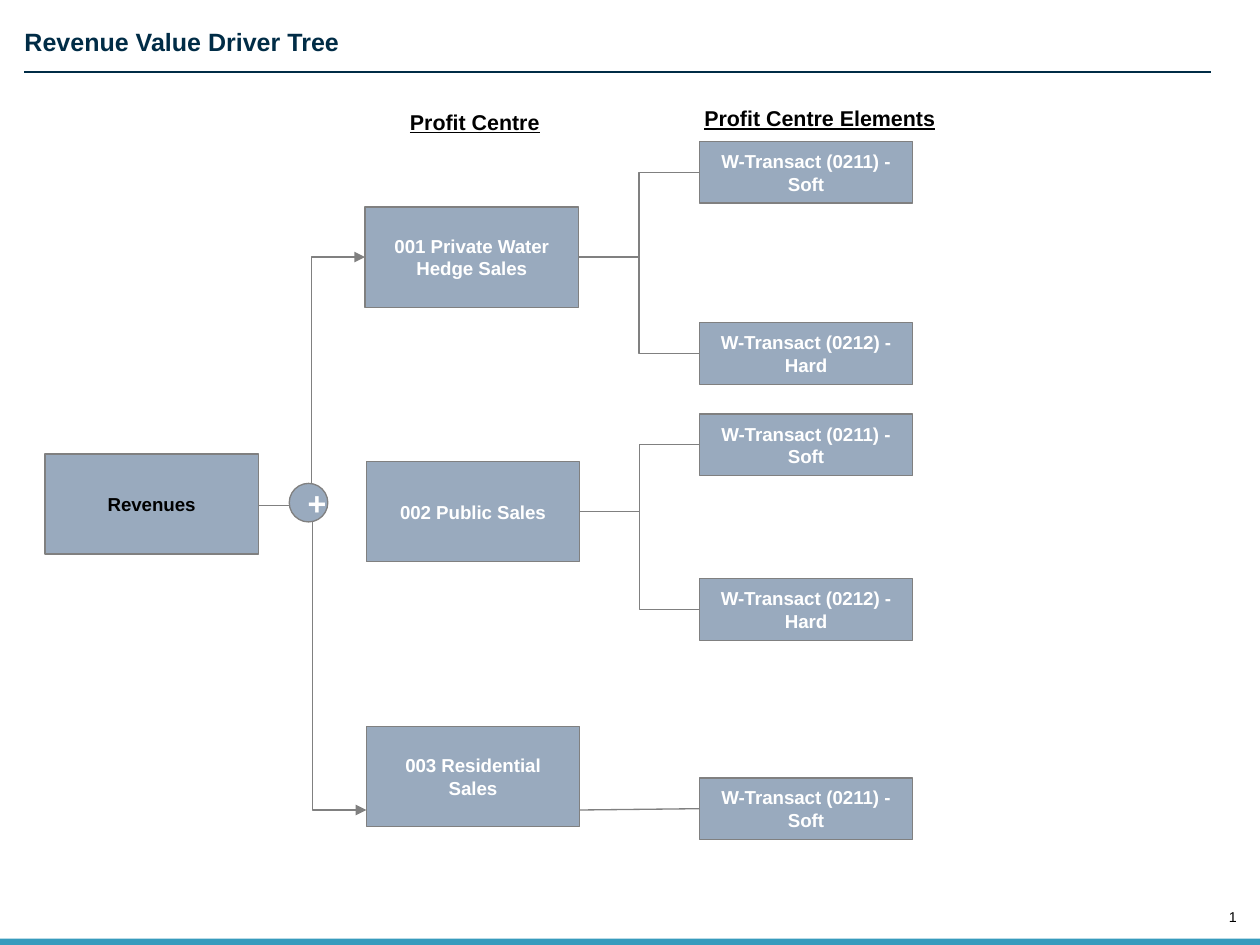
import pptx
import pptx.util
import pptx.dml.color
import pptx.enum.shapes
import pptx.enum.text
import pptx.oxml
import pptx.oxml.ns
from dataclasses import dataclass
from pptx.util import Inches

SHAPE = pptx.enum.shapes.MSO_SHAPE
LINK = pptx.enum.shapes.MSO_CONNECTOR
ALIGN = pptx.enum.text.PP_ALIGN
ANCHOR = pptx.enum.text.MSO_ANCHOR


@dataclass(frozen=True)
class Theme:
    font: str = "Arial"
    navy: str = "002C46"
    band: str = "379BBD"
    node: str = "99AABE"
    grey: str = "808080"
    black: str = "000000"
    white: str = "FFFFFF"
    title_size: float = 14
    heading_size: float = 12
    node_size: float = 10.5
    plus_size: float = 18
    number_size: float = 8
    line_width: float = 0.75


T = Theme()


def rgb(value):
    return pptx.dml.color.RGBColor.from_string(value)


def place(sp, box):
    sp.left, sp.top, sp.width, sp.height = (Inches(v) for v in box)


def write(sp, text, size, color, bold=True, underline=None, align=ALIGN.LEFT,
          anchor=ANCHOR.TOP, inset=None):
    tf = sp.text_frame
    tf.text = text
    tf.word_wrap = True
    tf.vertical_anchor = anchor
    if inset is not None:
        tf.margin_left = tf.margin_right = Inches(inset)
        tf.margin_top = tf.margin_bottom = Inches(inset)
    p = tf.paragraphs[0]
    p.alignment = align
    font = p.runs[0].font
    font.name, font.size = T.font, pptx.util.Pt(size)
    font.bold, font.underline = bold, underline
    font.color.rgb = rgb(color)


def add_node(s, box, text, color=T.white, size=T.node_size, kind=SHAPE.RECTANGLE):
    sp = s.shapes.add_shape(kind, *(Inches(v) for v in box))
    sp.shadow.inherit = False
    sp.fill.solid()
    sp.fill.fore_color.rgb = rgb(T.node)
    sp.line.color.rgb = rgb(T.grey)
    sp.line.width = pptx.util.Pt(T.line_width)
    write(sp, text, size, color, align=ALIGN.CENTER, anchor=ANCHOR.MIDDLE)


def add_link(s, start, end, kind=LINK.ELBOW, color=T.grey, arrow=False):
    c = s.shapes.add_connector(kind, *(Inches(v) for v in (*start, *end)))
    c.line.color.rgb = rgb(color)
    c.line.width = pptx.util.Pt(T.line_width)
    if arrow:
        tail = pptx.oxml.ns.qn("a:tailEnd")
        c.line._get_or_add_ln().append(c._element.makeelement(tail, {"type": "triangle"}))
    effects = pptx.oxml.ns.qn("a:effectLst")
    c._element.spPr.append(c._element.makeelement(effects, {}))


def add_label(s, box, text, size, color, **style):
    write(s.shapes.add_textbox(*(Inches(v) for v in box)), text, size, color, **style)


# Title and the rule below it
def add_header(s, box):
    x, y, w, h = box
    title = s.shapes.title
    place(title, (x, y, w, 0.24))
    write(title, "Revenue Value Driver Tree", T.title_size, T.navy,
          anchor=ANCHOR.MIDDLE, inset=0)
    add_link(s, (x, y + h), (x + w, y + h), LINK.STRAIGHT, T.navy)


# Bottom band and page number
def add_footer(s, box):
    x, y, w, h = box
    band = s.shapes.add_shape(SHAPE.RECTANGLE, *(Inches(v) for v in box))
    band.shadow.inherit = False
    band.fill.solid()
    band.fill.fore_color.rgb = rgb(T.band)
    band.line.fill.background()
    add_label(s, (x + w - 0.32, y - 0.23, 0.14, 0.13), "1", T.number_size, T.black,
              bold=False, align=ALIGN.RIGHT, anchor=ANCHOR.BOTTOM, inset=0)


# Driver tree: revenues, profit centres and their elements
def add_tree(s, box):
    x, y, w, h = box
    node_w, centre_h, element_h = 1.66, 0.78, 0.48
    soft, hard = "W-Transact (0211) - Soft", "W-Transact (0212) - Hard"
    # name, left, top, height of its links, fed by an arrow, elements with tops
    centres = [
        ("001 Private Water Hedge Sales", 2.49, 0.84, 1.23, True,
         [(soft, 0.33), (hard, 1.74)]),
        ("002 Public Sales", 2.5, 2.82, 3.21, False,
         [(soft, 2.45), (hard, 3.73)]),
        ("003 Residential Sales", 2.5, 4.88, 5.53, True, [(soft, 5.28)]),
    ]
    element_x = x + w - node_w
    root = (x + node_w, y + 3.16)

    add_label(s, (x + 2.74, y + 0.03, 1.96, 0.3), "Profit Centre",
              T.heading_size, T.black, underline=True)
    add_label(s, (x + 5.03, y, 2.19, 0.3), "Profit Centre Elements",
              T.heading_size, T.black, underline=True)

    add_node(s, (x, y + 2.76, node_w, centre_h), "Revenues", T.black)
    for name, left, top, link_y, fed, elements in centres:
        add_node(s, (x + left, y + top, node_w, centre_h), name)
        if fed:
            add_link(s, root, (x + left, y + link_y), arrow=True)
        kind = LINK.ELBOW if len(elements) > 1 else LINK.STRAIGHT
        for text, element_top in elements:
            add_node(s, (element_x, y + element_top, node_w, element_h), text)
            add_link(s, (x + left + node_w, y + link_y),
                     (element_x, y + element_top + element_h / 2), kind)
    add_node(s, (x + 1.9, y + 2.99, 0.3, 0.3), "+", size=T.plus_size, kind=SHAPE.OVAL)


prs = pptx.Presentation()
prs.slide_width, prs.slide_height = Inches(9.8), Inches(7.35)
s = prs.slides.add_slide(prs.slide_layouts[5])
add_footer(s, (0, 7.3, 9.8, 0.05))
add_header(s, (0.19, 0.2, 9.23, 0.36))
add_tree(s, (0.35, 0.77, 6.75, 5.76))
prs.save("out.pptx")
